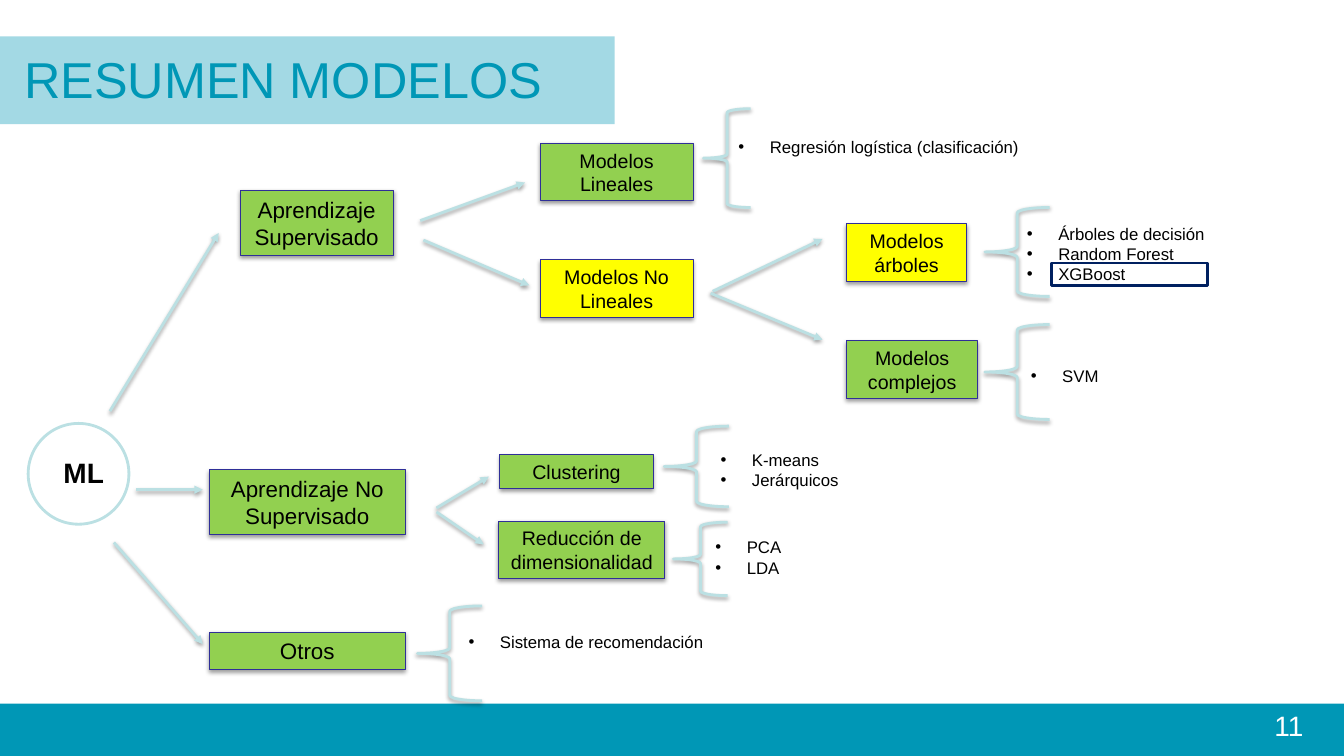
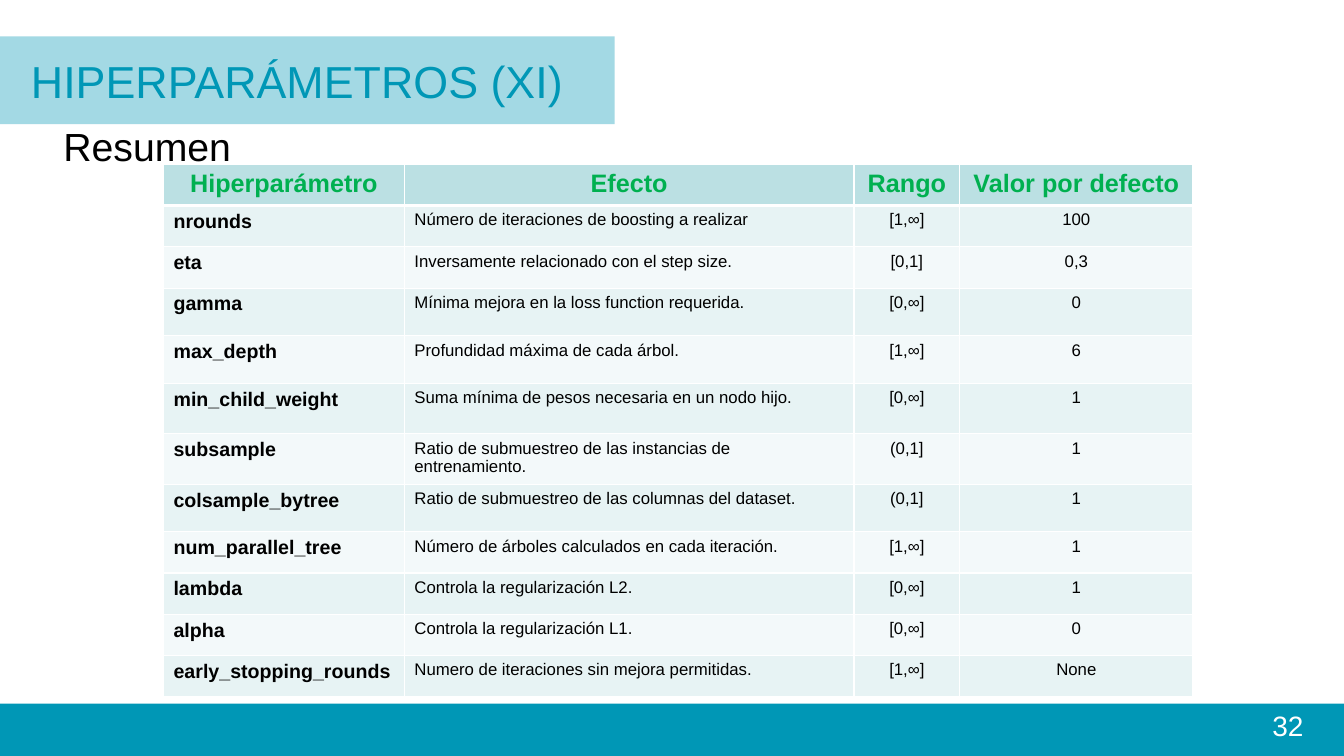
from dataclasses import dataclass
from typing import Optional, Sequence

from lxml.etree import SubElement
from pptx import Presentation
from pptx.dml.color import RGBColor
from pptx.enum.shapes import MSO_CONNECTOR as Link, MSO_SHAPE as Preset
from pptx.enum.text import MSO_ANCHOR as Anchor, PP_ALIGN as Align
from pptx.oxml.ns import qn
from pptx.util import Cm, Pt


@dataclass(frozen=True)
class Theme:
    font: str = "Arial"
    teal: str = "0097B6"
    pale: str = "BBE0E3"
    green: str = "92D050"
    yellow: str = "FFFF00"
    indigo: str = "2F2F98"
    navy: str = "002060"
    heading: str = "00B050"
    odd_row: str = "E7F3F4"
    even_row: str = "F3F9FA"
    white: str = "FFFFFF"
    black: str = "000000"
    subtitle: float = 28
    number: float = 20
    table_head: float = 18
    branch: float = 16
    model: float = 14
    detail: float = 12
    stroke: float = 2
    outline: float = 0.75


THEME = Theme()
SLIDE_WIDTH, SLIDE_HEIGHT = 33.87, 19.05
FOOTER_TOP, FOOTER_HEIGHT = 17.73, 1.32


@dataclass(frozen=True)
class Box:
    """A rectangle in centimetres."""
    left: float
    top: float
    width: float
    height: float

    def lengths(self) -> tuple:
        return Cm(self.left), Cm(self.top), Cm(self.width), Cm(self.height)


@dataclass(frozen=True)
class Node:
    label: str
    box: Box
    size: float = THEME.model
    fill: str = THEME.green


@dataclass(frozen=True)
class Arrow:
    x1: float
    y1: float
    x2: float
    y2: float


@dataclass(frozen=True)
class Family:
    """A brace and the bulleted algorithms it gathers."""
    brace: Box
    list_left: float
    list_top: float
    algorithms: tuple


@dataclass(frozen=True)
class Parameter:
    name: str
    effect: str
    span: str
    default: str
    height: float = 1.04


NODES = (
    Node("Aprendizaje Supervisado", Box(6.05, 4.8, 3.86, 1.63), THEME.branch),
    Node("Aprendizaje No Supervisado", Box(5.28, 11.84, 4.93, 1.63), THEME.branch),
    Node("Otros", Box(5.28, 15.93, 4.93, 0.94), THEME.branch),
    Node("Modelos Lineales", Box(13.61, 3.61, 3.86, 1.45)),
    Node("Modelos No Lineales", Box(13.61, 6.55, 3.86, 1.45), fill=THEME.yellow),
    Node("Modelos árboles", Box(21.34, 5.64, 3.02, 1.45), fill=THEME.yellow),
    Node("Modelos complejos", Box(21.34, 8.59, 3.3, 1.45)),
    Node("Clustering", Box(12.6, 11.46, 3.86, 0.86)),
    Node("Reducción de dimensionalidad", Box(12.57, 13.13, 4.19, 1.45)),
)

ARROWS = (
    Arrow(2.77, 10.36, 5.51, 5.87),
    Arrow(3.43, 12.34, 5.11, 12.34),
    Arrow(2.87, 13.67, 5.11, 16.23),
    Arrow(10.59, 5.56, 13.23, 4.6),
    Arrow(10.67, 6.05, 13.34, 7.19),
    Arrow(17.96, 7.34, 20.73, 6.02),
    Arrow(17.91, 7.39, 20.73, 8.56),
    Arrow(11, 12.8, 12.32, 12.01),
    Arrow(11, 12.9, 12.19, 13.72),
)

FAMILIES = (
    Family(Box(17.73, 2.74, 1.19, 2.49), 18.36, 3.33, ("Regresión logística (clasificación)",)),
    Family(Box(24.82, 5.23, 1.63, 2.24), 25.63, 5.51,
           ("Árboles de decisión", "Random Forest", "XGBoost")),
    Family(Box(24.82, 8.18, 1.63, 2.39), 25.73, 9.09, ("SVM",)),
    Family(Box(16.74, 10.74, 1.63, 2.03), 17.91, 11.2, ("K-means", "Jerárquicos")),
    Family(Box(16.97, 13.16, 1.37, 1.85), 17.78, 13.41, ("PCA", "LDA")),
    Family(Box(10.52, 15.27, 1.63, 2.39), 11.56, 15.8, ("Sistema de recomendación",)),
)

HEADINGS = ("Hiperparámetro", "Efecto", "Rango", "Valor por defecto")
COLUMN_WIDTHS = (6.07, 11.33, 2.67, 5.87)
HEADING_HEIGHT = 1.04
PARAMETERS = (
    Parameter("nrounds", "Número de iteraciones de boosting a realizar", "[1,∞]", "100"),
    Parameter("eta", "Inversamente relacionado con el step size.", "[0,1]", "0,3"),
    Parameter("gamma", "Mínima mejora en la loss function requerida.", "[0,∞]", "0", 1.2),
    Parameter("max_depth", "Profundidad máxima de cada árbol.", "[1,∞]", "6", 1.2),
    Parameter("min_child_weight", "Suma mínima de pesos necesaria en un nodo hijo.",
              "[0,∞]", "1", 1.27),
    Parameter("subsample", "Ratio de submuestreo de las instancias de entrenamiento.",
              "(0,1]", "1", 1.2),
    Parameter("colsample_bytree", "Ratio de submuestreo de las columnas del dataset.",
              "(0,1]", "1", 1.2),
    Parameter("num_parallel_tree", "Número de árboles calculados en cada iteración.", "[1,∞]", "1"),
    Parameter("lambda", "Controla la regularización L2.", "[0,∞]", "1"),
    Parameter("alpha", "Controla la regularización L1.", "[0,∞]", "0"),
    Parameter("early_stopping_rounds", "Numero de iteraciones sin mejora permitidas.",
              "[1,∞]", "None"),
)


def rgb(code: str) -> RGBColor:
    return RGBColor.from_string(code)


def write(frame, *lines: str, size: float, color: str = THEME.black, bold: bool = False,
          align=Align.LEFT, bullet: bool = False) -> None:
    for index, line in enumerate(lines):
        paragraph = frame.add_paragraph() if index else frame.paragraphs[0]
        paragraph.alignment = align
        run = paragraph.add_run()
        run.text = line
        run.font.name, run.font.size, run.font.bold = THEME.font, Pt(size), bold
        run.font.color.rgb = rgb(color)
        if bullet:
            properties = paragraph._p.get_or_add_pPr()
            indent = Cm(0.79)
            properties.set("marL", str(indent))
            properties.set("indent", str(-indent))
            SubElement(properties, qn("a:buFont"), typeface=THEME.font)
            SubElement(properties, qn("a:buChar"), char="•")


def add_text(slide, box: Box, *lines: str, anchor=Anchor.TOP, **text_format) -> None:
    frame = slide.shapes.add_textbox(*box.lengths()).text_frame
    frame.word_wrap = True
    frame.vertical_anchor = anchor
    write(frame, *lines, **text_format)


def cast_shadow(properties) -> None:
    """Give shape properties a soft shadow that falls straight down."""
    effects = properties.find(qn("a:effectLst"))
    if effects is None:
        effects = SubElement(properties, qn("a:effectLst"))
    shadow = SubElement(effects, qn("a:outerShdw"), blurRad=str(Pt(3.1)), dist=str(Pt(1.6)),
                        dir="5400000", rotWithShape="0")
    shade = SubElement(shadow, qn("a:srgbClr"), val=THEME.black)
    SubElement(shade, qn("a:alpha"), val="38000")


def add_preset(slide, preset, box: Box, *, fill: Optional[str] = None, line: Optional[str] = None,
               weight: float = THEME.stroke, shadow: bool = False):
    shape = slide.shapes.add_shape(preset, *box.lengths())
    shape.shadow.inherit = False
    if fill:
        shape.fill.solid()
        shape.fill.fore_color.rgb = rgb(fill)
    else:
        shape.fill.background()
    if line:
        shape.line.color.rgb = rgb(line)
        shape.line.width = Pt(weight)
    else:
        shape.line.fill.background()
    if shadow:
        cast_shadow(shape._element.spPr)
    return shape


def add_node(slide, node: Node) -> None:
    shape = add_preset(slide, Preset.RECTANGLE, node.box, fill=node.fill, line=THEME.indigo,
                       weight=THEME.outline, shadow=True)
    shape.text_frame.word_wrap = True
    shape.text_frame.vertical_anchor = Anchor.MIDDLE
    write(shape.text_frame, node.label, size=node.size, align=Align.CENTER)


def add_arrow(slide, arrow: Arrow) -> None:
    connector = slide.shapes.add_connector(
        Link.STRAIGHT, Cm(arrow.x1), Cm(arrow.y1), Cm(arrow.x2), Cm(arrow.y2))
    connector.line.color.rgb = rgb(THEME.pale)
    connector.line.width = Pt(THEME.stroke)
    properties = connector._element.spPr
    SubElement(properties.find(qn("a:ln")), qn("a:tailEnd"), type="triangle")
    cast_shadow(properties)


def add_family(slide, family: Family) -> None:
    add_preset(slide, Preset.LEFT_BRACE, family.brace, line=THEME.pale, shadow=True)
    height = 0.76 + 0.52 * (len(family.algorithms) - 1)
    add_text(slide, Box(family.list_left, family.list_top, 7.6, height), *family.algorithms,
             size=THEME.detail, bullet=True)


def start_slide(deck, number: int, title: str, title_box: Box, title_size: float):
    """Add a blank slide with its footer, title band, title and number."""
    slide = deck.slides.add_slide(deck.slide_layouts[6])
    add_preset(slide, Preset.RECTANGLE, Box(0, FOOTER_TOP, SLIDE_WIDTH, FOOTER_HEIGHT),
               fill=THEME.teal)
    band = add_preset(slide, Preset.RECTANGLE, Box(0, 0.92, 15.49, 2.21), fill=THEME.teal)
    tint = band._element.spPr.find(qn("a:solidFill"))[0]
    SubElement(tint, qn("a:alpha"), val="36000")
    add_text(slide, Box(27.18, FOOTER_TOP, 5.92, FOOTER_HEIGHT), str(number),
             size=THEME.number, color=THEME.white, align=Align.RIGHT)
    add_text(slide, title_box, title, size=title_size, color=THEME.teal, anchor=Anchor.MIDDLE)
    return slide


def set_borders(cell, top: float, bottom: float) -> None:
    properties = cell._tc.get_or_add_tcPr()
    weights = {"a:lnL": 1, "a:lnR": 1, "a:lnT": top, "a:lnB": bottom}
    for position, (side, weight) in enumerate(weights.items()):
        border = SubElement(properties, qn(side), w=str(Pt(weight)))
        fill = SubElement(border, qn("a:solidFill"))
        SubElement(fill, qn("a:srgbClr"), val=THEME.white)
        properties.insert(position, border)


def fill_row(table, row: int, texts: Sequence[str], fill: str, formats: Sequence[dict]) -> None:
    for column, (text, text_format) in enumerate(zip(texts, formats)):
        cell = table.cell(row, column)
        cell.fill.solid()
        cell.fill.fore_color.rgb = rgb(fill)
        set_borders(cell, top=3 if row == 1 else 1, bottom=3 if row == 0 else 1)
        write(cell.text_frame, text, **text_format)


def build_models(deck) -> None:
    slide = start_slide(deck, 11, "RESUMEN MODELOS", Box(0.36, 1.17, 14.78, 1.6), 36)
    add_preset(slide, Preset.OVAL, Box(0.71, 10.67, 2.54, 2.54), fill=THEME.white, line=THEME.pale)
    add_text(slide, Box(1.35, 11.35, 1.65, 1.12), "ML", size=THEME.number, bold=True)
    for node in NODES:
        add_node(slide, node)
    for arrow in ARROWS:
        add_arrow(slide, arrow)
    for family in FAMILIES:
        add_family(slide, family)
    add_preset(slide, Preset.RECTANGLE, Box(26.49, 6.63, 3.94, 0.56), line=THEME.navy)


def build_parameters(deck) -> None:
    slide = start_slide(deck, 32, "HIPERPARÁMETROS (XI)", Box(0.53, 1.22, 14.78, 1.6), 32)
    add_text(slide, Box(1.35, 2.95, 28.4, 1.3), "Resumen", size=THEME.subtitle)
    heights = [HEADING_HEIGHT, *(parameter.height for parameter in PARAMETERS)]
    area = Box(4.12, 4.14, sum(COLUMN_WIDTHS), sum(heights))
    table = slide.shapes.add_table(len(heights), len(HEADINGS), *area.lengths()).table
    for column, width in zip(table.columns, COLUMN_WIDTHS):
        column.width = Cm(width)
    for row, height in zip(table.rows, heights):
        row.height = Cm(height)
    heading = dict(size=THEME.table_head, color=THEME.heading, bold=True, align=Align.CENTER)
    fill_row(table, 0, HEADINGS, THEME.pale, [heading] * len(HEADINGS))
    centred = dict(size=THEME.detail, align=Align.CENTER)
    formats = [dict(size=THEME.model, bold=True), dict(size=THEME.detail), centred, centred]
    for row, item in enumerate(PARAMETERS, start=1):
        fill_row(table, row, (item.name, item.effect, item.span, item.default),
                 THEME.odd_row if row % 2 else THEME.even_row, formats)


def main() -> None:
    deck = Presentation()
    deck.slide_width, deck.slide_height = Cm(SLIDE_WIDTH), Cm(SLIDE_HEIGHT)
    build_models(deck)
    build_parameters(deck)
    deck.save("out.pptx")


if __name__ == "__main__":
    main()
